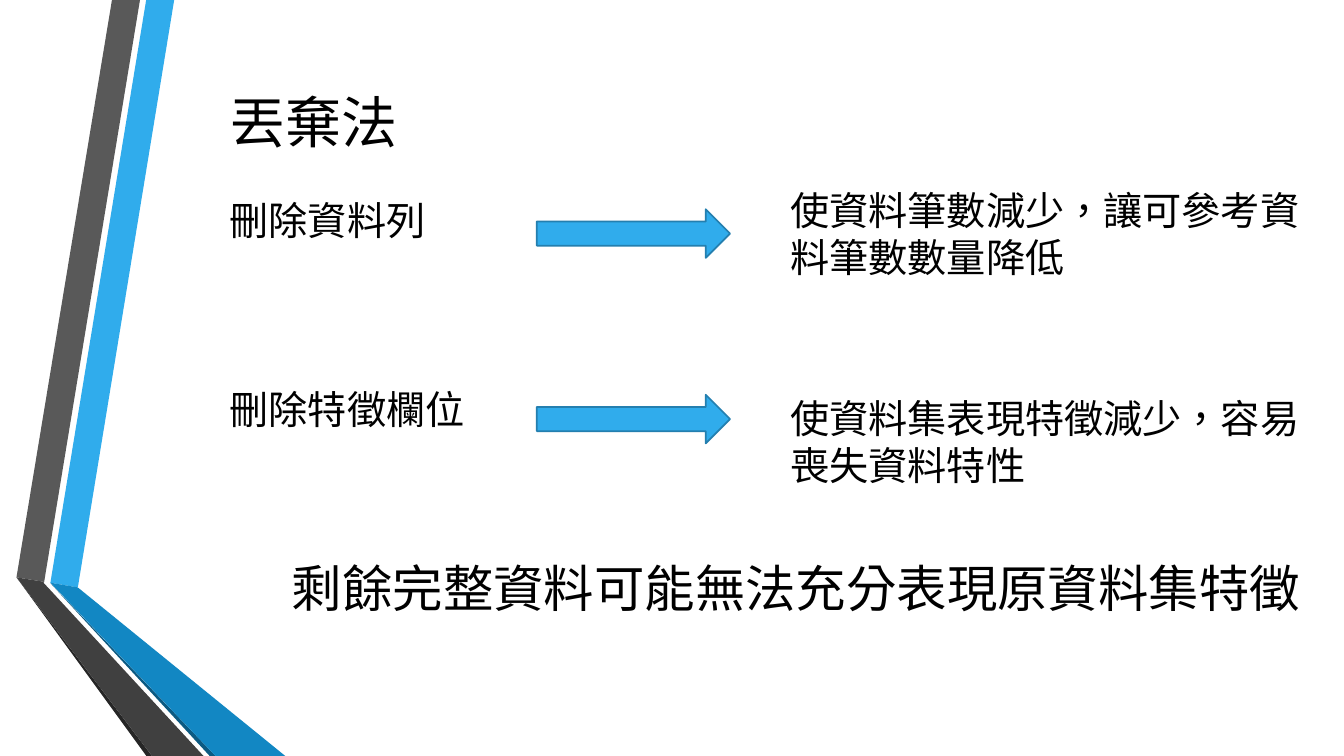
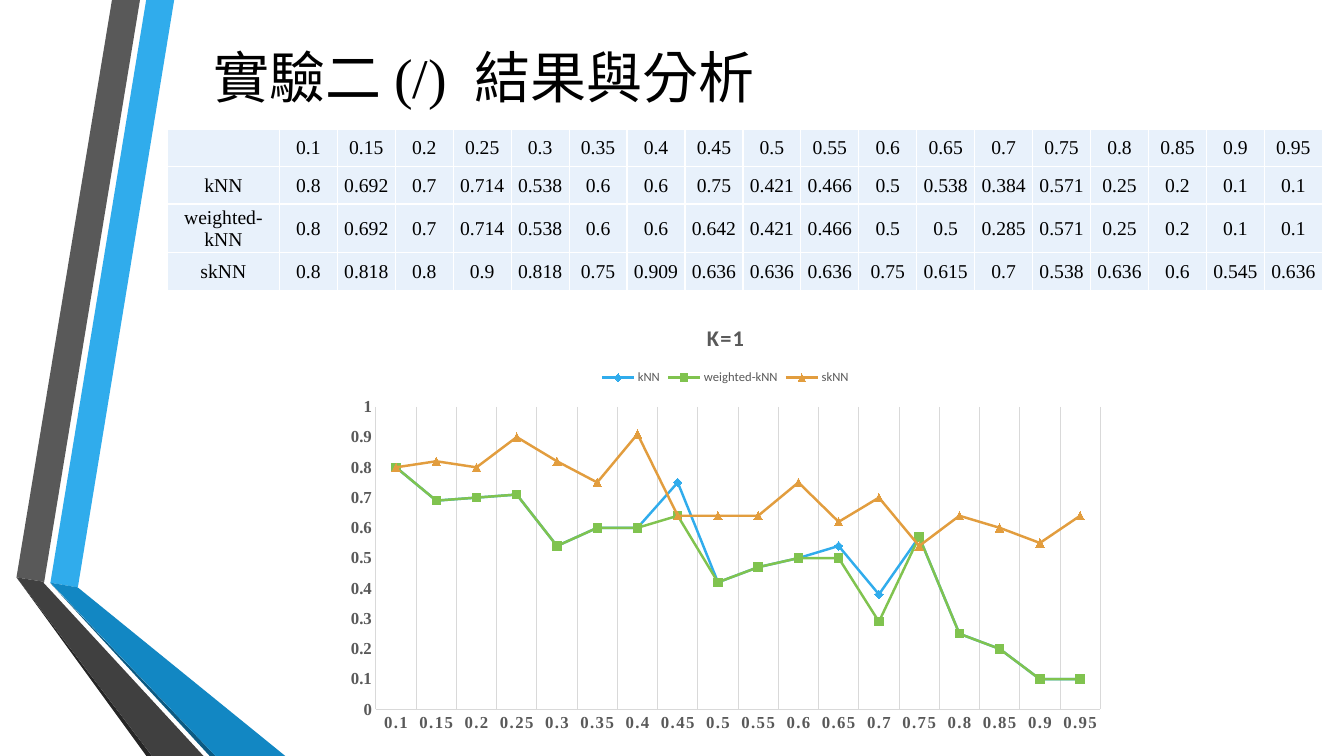
"""Build two slides on missing-data deletion and kNN results."""
from pptx import Presentation
from pptx.chart.data import CategoryChartData
from pptx.dml.color import RGBColor
from pptx.enum import chart as charts, shapes, text as texts
from pptx.oxml import parse_xml
from pptx.oxml.ns import nsdecls
from pptx.util import Pt

COLORS = {
    "blue": "30ACEC", "outline": "247FAF", "blue_low": "1287C3", "blue_edge": "0C5A82",
    "gray": "595959", "gray_low": "404040", "gray_edge": "262626", "grid": "D9D9D9",
    "green": "80C34F", "orange": "E29D3E", "cell": "E8F1FB", "black": "000000",
}
CJK, SERIF, SANS = "Noto Sans CJK SC", "Times New Roman", "Calibri"

BANDS = [
    ("blue", [(36, 416.2), (55.6, 419.6), (124.4, 0), (104.4, 0)]),
    ("gray", [(100, 0), (80, 0), (11.8, 412.4), (31.6, 415.6)]),
    ("gray_edge", [(11.8, 412.4), (104.6, 540), (108.6, 540)]),
    ("blue_edge", [(36, 416.6), (149.8, 540), (154, 540)]),
    ("blue_low", [(36, 416.2), (154, 540), (203.8, 540), (55.6, 419.6)]),
    ("gray_low", [(145.4, 540), (34.6, 420), (31, 416.2), (31.6, 415.6), (11.8, 412.4), (108.6, 540)]),
]

DROP_TITLE = "丟棄法"
DROP_ROWS = [
    {"action": "刪除資料列", "action_top": 137, "arrow_top": 149.5,
     "effect": "使資料筆數減少，讓可參考資料筆數數量降低", "effect_top": 129.5},
    {"action": "刪除特徵欄位", "action_top": 272, "arrow_top": 282,
     "effect": "使資料集表現特徵減少，容易喪失資料特性", "effect_top": 278},
]
DROP_CONCLUSION = "剩餘完整資料可能無法充分表現原資料集特徵"

RESULT_TITLE = "實驗二 (/)  結果與分析"
CHART_TITLE = "K=1"
RATES = [f"{step * 5 / 100:g}" for step in range(2, 20)]
RESULTS = {
    "kNN": [0.8, 0.692, 0.7, 0.714, 0.538, 0.6, 0.6, 0.75, 0.421,
            0.466, 0.5, 0.538, 0.384, 0.571, 0.25, 0.2, 0.1, 0.1],
    "weighted-kNN": [0.8, 0.692, 0.7, 0.714, 0.538, 0.6, 0.6, 0.642, 0.421,
                     0.466, 0.5, 0.5, 0.285, 0.571, 0.25, 0.2, 0.1, 0.1],
    "skNN": [0.8, 0.818, 0.8, 0.9, 0.818, 0.75, 0.909, 0.636, 0.636,
             0.636, 0.75, 0.615, 0.7, 0.538, 0.636, 0.6, 0.545, 0.636],
}
SERIES_STYLES = [
    ("blue", charts.XL_MARKER_STYLE.DIAMOND),
    ("green", charts.XL_MARKER_STYLE.SQUARE),
    ("orange", charts.XL_MARKER_STYLE.TRIANGLE),
]
NAME_WIDTH, RATE_WIDTH = 80, 41.4
ROW_HEIGHTS = [26.5, 27, 34.5, 27]
CHART_WIDTH, CHART_HEIGHT = 558, 312
PLOT = {"x": 29.3 / CHART_WIDTH, "y": 73.3 / CHART_HEIGHT,
        "w": 517.5 / CHART_WIDTH, "h": 216.2 / CHART_HEIGHT}


def rgb(name):
    """Return a palette colour."""
    return RGBColor.from_string(COLORS[name])


def paint(target, name):
    """Give a shape, cell or marker a solid fill."""
    target.fill.solid()
    target.fill.fore_color.rgb = rgb(name)


def draw(line, name, width):
    """Format a line."""
    line.color.rgb = rgb(name)
    line.width = Pt(width)


def style_font(font, size, face, color="black", bold=False):
    """Format a font."""
    font.size, font.name, font.bold = Pt(size), face, bold
    font.color.rgb = rgb(color)


def write(frame, words, size=28, face=CJK, color="black", bold=False,
          align=texts.PP_ALIGN.LEFT, spacing=None):
    """Write one formatted paragraph."""
    para = frame.paragraphs[0]
    para.alignment = align
    if spacing:
        para.line_spacing = Pt(spacing * size)
    span = para.add_run()
    span.text = words
    style_font(span.font, size, face, color, bold)
    props = span._r.get_or_add_rPr()
    props.set("lang", "zh-TW")
    props.append(parse_xml(f'<a:ea {nsdecls("a")} typeface="{CJK}"/>'))


def fill_box(box, words, left, top, width, height, **form):
    """Place a text box or title and write its text."""
    box.left, box.top, box.width, box.height = map(Pt, (left, top, width, height))
    frame = box.text_frame
    frame.word_wrap = True
    frame.auto_size = texts.MSO_AUTO_SIZE.NONE
    frame.vertical_anchor = texts.MSO_ANCHOR.TOP
    write(frame, words, spacing=1.2, **form)


def add_text(page, words, left, top, width, height, **form):
    """Add a text box."""
    fill_box(page.shapes.add_textbox(0, 0, 0, 0), words, left, top, width, height, **form)


def add_bands(page, layout):
    """Draw the folded side bands and keep them on the layout."""
    for color, points in BANDS:
        corners = [(Pt(x), Pt(y)) for x, y in points]
        builder = page.shapes.build_freeform(*corners[0], scale=1.0)
        builder.add_line_segments(corners[1:], close=True)
        band = builder.convert_to_shape()
        paint(band, color)
        band.line.fill.background()
        band.shadow.inherit = False
        layout.shapes.element.append(band.element)


def build_drop(page):
    """Fill the slide on deletion."""
    fill_box(page.shapes.title, DROP_TITLE, 157, 59, 140, 55, size=40)
    for row in DROP_ROWS:
        add_text(page, row["action"], 157, row["action_top"], 220, 42)
        add_text(page, row["effect"], 557.5, row["effect_top"], 390, 75)
        arrow = page.shapes.add_shape(shapes.MSO_SHAPE.RIGHT_ARROW,
                                      Pt(383.5), Pt(row["arrow_top"]), Pt(138), Pt(34.7))
        arrow.shadow.inherit = False
        paint(arrow, "blue")
        draw(arrow.line, "outline", 1.25)
    add_text(page, DROP_CONCLUSION, 201.5, 394.5, 746, 51, size=36)


def add_results_table(page):
    """Add the table of results."""
    rows = [["", *RATES]] + [[name, *map(str, values)] for name, values in RESULTS.items()]
    widths = [NAME_WIDTH] + [RATE_WIDTH] * len(RATES)
    table = page.shapes.add_table(len(rows), len(widths), Pt(119.6), Pt(92.3),
                                  Pt(sum(widths)), Pt(sum(ROW_HEIGHTS))).table
    table.first_row = table.horz_banding = False
    for column, width in zip(table.columns, widths):
        column.width = Pt(width)
    for r, (words, height) in enumerate(zip(rows, ROW_HEIGHTS)):
        table.rows[r].height = Pt(height)
        for c, word in enumerate(words):
            cell = table.cell(r, c)
            paint(cell, "cell")
            cell.vertical_anchor = texts.MSO_ANCHOR.MIDDLE
            cell.margin_left = cell.margin_right = cell.margin_top = Pt(0.7)
            cell.margin_bottom = 0
            write(cell.text_frame, word, size=14, face=SERIF, align=texts.PP_ALIGN.CENTER)


def add_results_chart(page):
    """Add the line chart of results, rounding halves up."""
    data = CategoryChartData()
    data.categories = RATES
    for name, values in RESULTS.items():
        data.add_series(name, [round(value + 1e-6, 2) for value in values])
    chart = page.shapes.add_chart(charts.XL_CHART_TYPE.LINE_MARKERS, Pt(239.2), Pt(217.3),
                                  Pt(CHART_WIDTH), Pt(CHART_HEIGHT), data).chart
    style_font(chart.font, 10, SANS)
    chart.has_title = True
    write(chart.chart_title.text_frame, CHART_TITLE, size=16, face=SANS, color="gray",
          bold=True, align=texts.PP_ALIGN.CENTER)
    chart.chart_title.include_in_layout = False
    chart.has_legend = True
    chart.legend.position = charts.XL_LEGEND_POSITION.TOP
    chart.legend.include_in_layout = False
    style_font(chart.legend.font, 9, SANS, "gray")

    for axis in (chart.category_axis, chart.value_axis):
        axis.major_tick_mark = axis.minor_tick_mark = charts.XL_TICK_MARK.NONE
        style_font(axis.tick_labels.font, 12, SERIF, "gray", True)
        draw(axis.format.line, "grid", 0.75)
    chart.category_axis.has_major_gridlines = True
    draw(chart.category_axis.major_gridlines.format.line, "grid", 0.75)
    scale = chart.value_axis
    scale.has_major_gridlines = False
    scale.minimum_scale, scale.maximum_scale, scale.major_unit = 0, 1, 0.1
    scale.tick_labels.number_format = "General"
    scale.tick_labels.number_format_is_linked = False

    chart.plots[0].vary_by_categories = False
    for series, (color, marker) in zip(chart.plots[0].series, SERIES_STYLES):
        series.smooth = False
        draw(series.format.line, color, 1.75)
        series.marker.style, series.marker.size = marker, 6
        paint(series.marker.format, color)
        draw(series.marker.format.line, color, 0.75)

    for props in chart.element.xpath("//c:catAx//a:defRPr | //c:title//a:rPr"):
        props.set("spc", "100")
    area = chart.element.xpath("//c:plotArea")[0]
    for old in area.xpath("./c:layout"):
        area.remove(old)
    parts = "".join(f'<c:{key} val="{value}"/>' for key, value in PLOT.items())
    area.insert(0, parse_xml(
        f'<c:layout {nsdecls("c")}><c:manualLayout><c:layoutTarget val="inner"/>'
        f'<c:xMode val="edge"/><c:yMode val="edge"/>{parts}</c:manualLayout></c:layout>'))


def build_results(page):
    """Fill the slide on results."""
    fill_box(page.shapes.title, RESULT_TITLE, 145.5, 26.5, 746, 55, size=40, face=SERIF)
    add_results_table(page)
    add_results_chart(page)


def main():
    """Build and save the deck."""
    deck = Presentation()
    deck.slide_width, deck.slide_height = Pt(960), Pt(540)
    layout = deck.slide_layouts[5]
    pages = [deck.slides.add_slide(layout) for _ in range(2)]
    add_bands(pages[0], layout)
    build_drop(pages[0])
    build_results(pages[1])
    deck.save("out.pptx")


if __name__ == "__main__":
    main()
